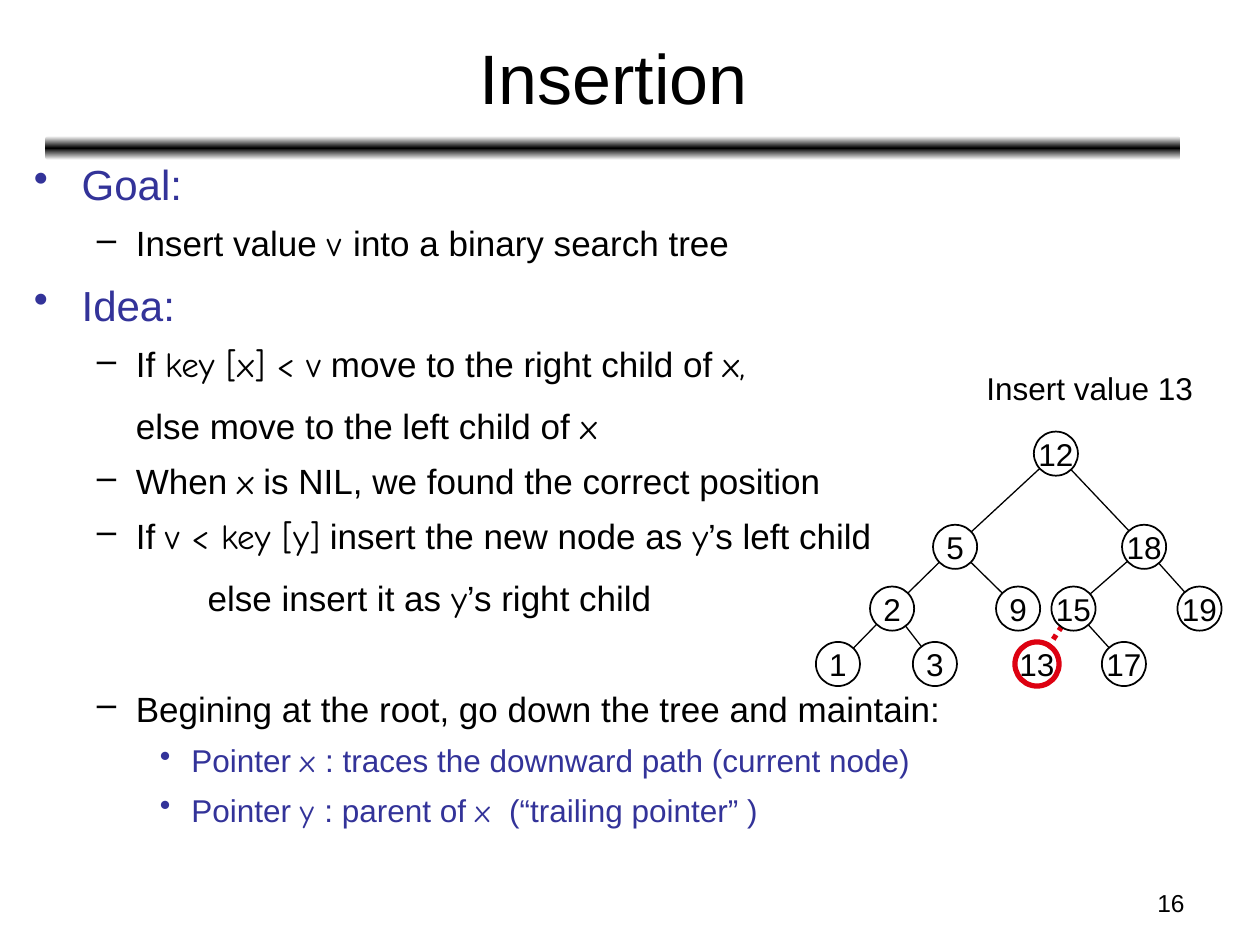
from copy import deepcopy

from pptx import Presentation
from pptx.dml.color import RGBColor
from pptx.enum.dml import MSO_LINE
from pptx.enum.shapes import MSO_CONNECTOR, MSO_SHAPE
from pptx.enum.text import MSO_ANCHOR, PP_ALIGN
from pptx.oxml.ns import qn
from pptx.util import Inches, Pt

COLORS = {"black": "000000", "white": "FFFFFF", "blue": "333399", "red": "DD0111"}
FONTS = ("Arial", "Comic Neue")
LEVELS = {
    "head": {"size": 24, "color": "blue", "left": 0.38, "hang": 0.38, "before": 6, "bullet": "•"},
    "item": {"size": 20, "color": "black", "left": 0.81, "hang": 0.31, "before": 5, "bullet": "–"},
    "last": {"size": 20, "color": "black", "left": 0.81, "hang": 0.31, "before": 37, "bullet": "–"},
    "else": {"size": 20, "color": "black", "left": 0.81, "hang": 0, "before": 9, "bullet": None},
    "deep": {"size": 20, "color": "black", "left": 1.38, "hang": 0, "before": 9, "bullet": None},
    "sub": {"size": 18, "color": "blue", "left": 1.25, "hang": 0.25, "before": 4.5, "bullet": "•"},
}
BODY = [
    ("head", "Goal:"),
    ("item", "Insert value |v |into a binary search tree"),
    ("head", "Idea:"),
    ("item", "If |key [x] < v| move to the right child of |x,"),
    ("else", "else move to the left child of |x"),
    ("item", "When |x| is NIL, we found the correct position"),
    ("item", "If |v < key [y]| insert the new node as |y|’s left child"),
    ("deep", "else insert it as |y|’s right child"),
    ("last", "Begining at the root, go down the tree and maintain:"),
    ("sub", "Pointer |x |: traces the downward path (current node)"),
    ("sub", "Pointer |y |: parent of |x | (“trailing pointer” )"),
]
ROWS = (3.6, 4.34, 4.83, 5.27)
NODES = {
    12: (8.38, 0), 5: (7.58, 1), 18: (9.08, 1), 2: (7.08, 2), 9: (8.08, 2),
    15: (8.52, 2), 19: (9.52, 2), 1: (6.65, 3), 3: (7.42, 3), 13: (8.23, 3), 17: (8.92, 3),
}
PARENTS = {5: 12, 18: 12, 2: 5, 9: 5, 15: 18, 19: 18, 1: 2, 3: 2, 13: 15, 17: 15}
NEW_NODE = 13
DIAMETER = 0.35


def rgb(name):
    return RGBColor.from_string(COLORS[name])


class SlideBuilder:
    """Holds the text style and the current slide, and adds each kind of element."""

    def __init__(self, prs):
        self.s = prs.slides.add_slide(prs.slide_layouts[5])
        self.frame = {"word_wrap": True, "vertical_anchor": MSO_ANCHOR.TOP}

    def place(self, sp, box):
        for name, value in zip(("left", "top", "width", "height"), box):
            setattr(sp, name, Inches(value))

    def format_frame(self, tf, **changes):
        for name, value in {**self.frame, **changes}.items():
            setattr(tf, name, value)

    def add_runs(self, p, text, size, color="black", align=PP_ALIGN.LEFT):
        p.alignment = align
        for i, part in enumerate(text.split("|")):
            r = p.add_run()
            r.text = part
            for name, value in {"name": FONTS[i % 2], "size": Pt(size)}.items():
                setattr(r.font, name, value)
            r.font.color.rgb = rgb(color)

    def title(self, text, box):
        sp = self.s.shapes.title
        self.place(sp, box)
        self.format_frame(sp.text_frame, vertical_anchor=MSO_ANCHOR.MIDDLE)
        self.add_runs(sp.text_frame.paragraphs[0], text, 40, align=PP_ALIGN.CENTER)

    def label(self, text, box, size, align=PP_ALIGN.LEFT, wrap=True):
        tf = self.s.shapes.add_textbox(*map(Inches, box)).text_frame
        self.format_frame(tf, word_wrap=wrap)
        self.add_runs(tf.paragraphs[0], text, size, align=align)

    def outline(self, items, box):
        tf = self.s.shapes.add_textbox(*map(Inches, box)).text_frame
        self.format_frame(tf)
        for i, (kind, text) in enumerate(items):
            p = tf.add_paragraph() if i else tf.paragraphs[0]
            level = LEVELS[kind]
            self.add_runs(p, text, level["size"], level["color"])
            p.line_spacing, p.space_before = 1.1, Pt(level["before"])
            pPr = p._p.get_or_add_pPr()
            pPr.set("marL", str(Inches(level["left"])))
            pPr.set("indent", str(-Inches(level["hang"])))
            if level["bullet"]:
                bullet = pPr.makeelement(qn("a:buChar"), {"char": level["bullet"]})
                pPr.append(bullet)

    def bar(self, box):
        sp = self.s.shapes.add_shape(MSO_SHAPE.ROUNDED_RECTANGLE, *map(Inches, box))
        sp.shadow.inherit = False
        sp.line.fill.background()
        sp.fill.gradient()
        sp.fill.gradient_angle = 90
        stops = sp._element.spPr.find(".//" + qn("a:gsLst"))
        stops.append(deepcopy(stops[-1]))
        for stop, position, color in zip(sp.fill.gradient_stops, (0, 0.5, 1), ("white", "black", "white")):
            stop.position = position
            stop.color.rgb = rgb(color)

    def edge(self, start, end, color="black", width=0.75, dash=None):
        line = self.s.shapes.add_connector(MSO_CONNECTOR.STRAIGHT, *map(Inches, start + end))
        line.line.color.rgb = rgb(color)
        line.line.width = Pt(width)
        line.line.dash_style = dash
        spPr = line._element.spPr
        spPr.append(spPr.makeelement(qn("a:effectLst"), {}))

    def node(self, text, center, color="black", width=1):
        x, y = (c - DIAMETER / 2 for c in center)
        sp = self.s.shapes.add_shape(MSO_SHAPE.OVAL, *map(Inches, (x, y, DIAMETER, DIAMETER)))
        sp.shadow.inherit = False
        sp.fill.solid()
        sp.fill.fore_color.rgb = rgb("white")
        sp.line.color.rgb = rgb(color)
        sp.line.width = Pt(width)
        self.format_frame(sp.text_frame, word_wrap=False, vertical_anchor=MSO_ANCHOR.MIDDLE)
        self.add_runs(sp.text_frame.paragraphs[0], text, 18, align=PP_ALIGN.CENTER)

    def tree(self):
        centers = {key: (x, ROWS[row]) for key, (x, row) in NODES.items()}
        for child, parent in PARENTS.items():
            style = {"color": "red", "width": 3, "dash": MSO_LINE.ROUND_DOT} if child == NEW_NODE else {}
            self.edge(centers[parent], centers[child], **style)
        for key, center in centers.items():
            style = {"color": "red", "width": 3} if key == NEW_NODE else {}
            self.node(str(key), center, **style)


def main():
    prs = Presentation()
    prs.slide_width, prs.slide_height = Inches(10), Inches(7.5)
    slide = SlideBuilder(prs)
    slide.bar((0.36, 1.08, 9.01, 0.19))
    slide.title("Insertion", (0.37, 0.11, 9, 0.99))
    slide.outline(BODY, (0.17, 1.17, 7.54, 6.01))
    slide.tree()
    slide.label("Insert value 13", (7.73, 2.88, 1.84, 0.4), 18, wrap=False)
    slide.label("16", (7.17, 7, 2.33, 0.35), 14, align=PP_ALIGN.RIGHT)
    prs.save("out.pptx")


if __name__ == "__main__":
    main()
